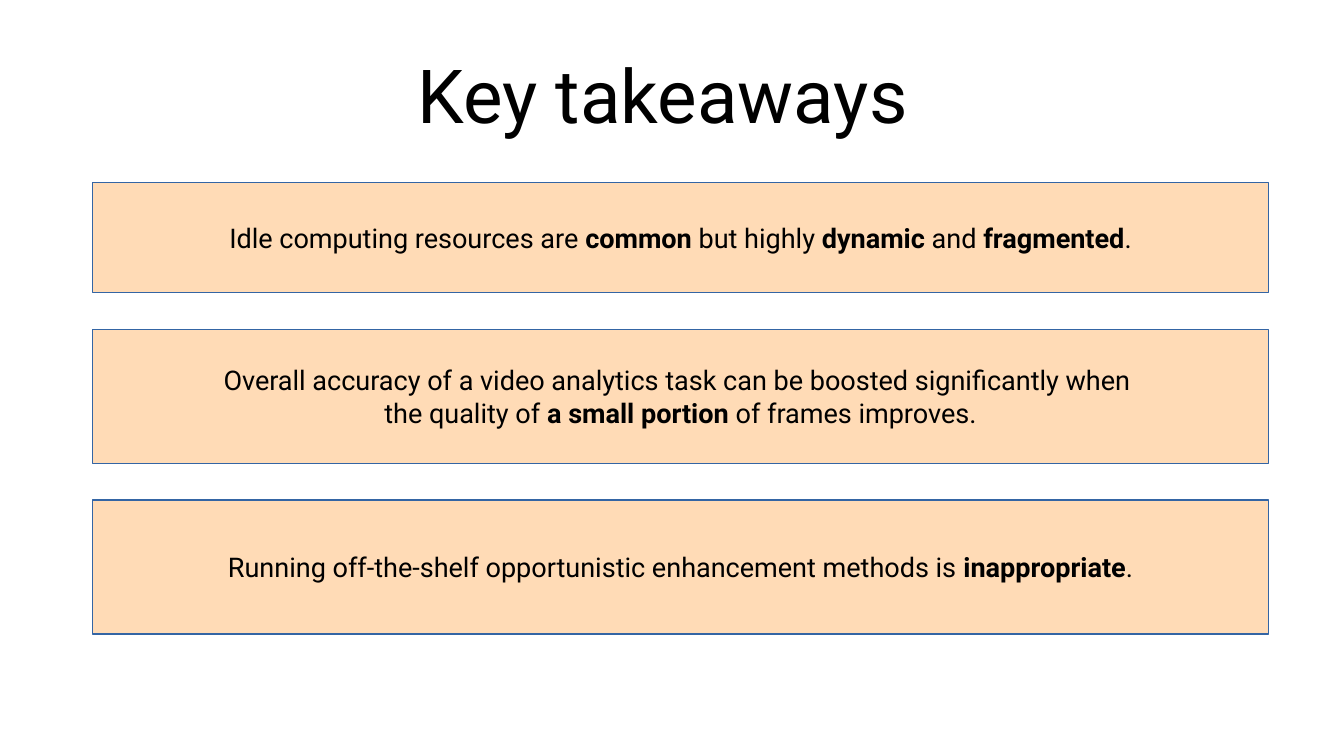
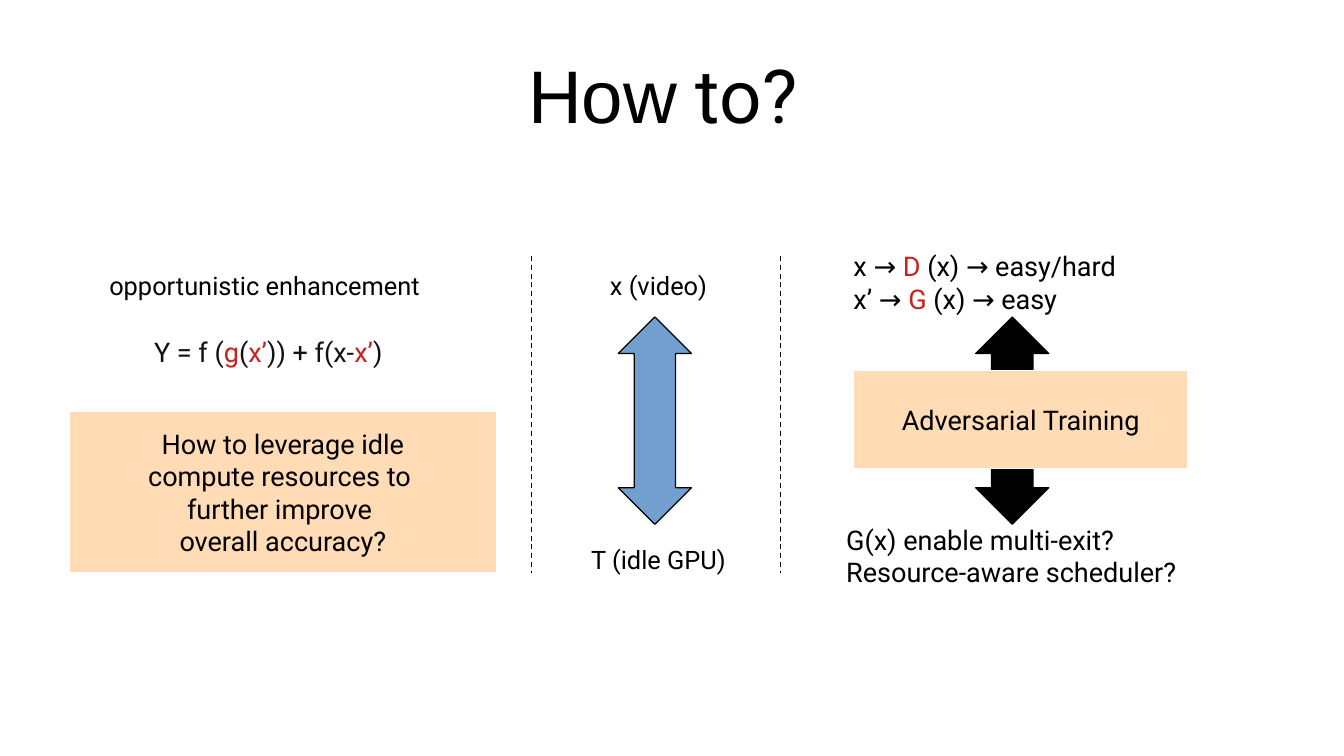
from lxml import etree
from pptx import Presentation
from pptx.dml.color import RGBColor
from pptx.enum.dml import MSO_LINE
from pptx.enum.shapes import MSO_CONNECTOR, MSO_SHAPE
from pptx.enum.text import MSO_ANCHOR, MSO_AUTO_SIZE, PP_ALIGN
from pptx.oxml.ns import qn
from pptx.util import Inches, Pt

BLACK = RGBColor(0x00, 0x00, 0x00)
WHITE = RGBColor(0xFF, 0xFF, 0xFF)
CHARCOAL = RGBColor(0x11, 0x11, 0x11)
RED = RGBColor(0xC9, 0x21, 0x1E)
PEACH = RGBColor(0xFF, 0xDB, 0xB6)
EDGE_BLUE = RGBColor(0x34, 0x65, 0xA4)
ARROW_BLUE = RGBColor(0x72, 0x9F, 0xCF)

FONT = "Roboto"
CENTER, LEFT = PP_ALIGN.CENTER, PP_ALIGN.LEFT
MIDDLE, TOP = MSO_ANCHOR.MIDDLE, MSO_ANCHOR.TOP
NO_FIT = MSO_AUTO_SIZE.NONE
RECTANGLE, UP_DOWN_ARROW = MSO_SHAPE.RECTANGLE, MSO_SHAPE.UP_DOWN_ARROW
STRAIGHT, DASH = MSO_CONNECTOR.STRAIGHT, MSO_LINE.DASH
TITLE_ONLY = 5
LINE_WIDTH = Pt(0.75)

TAKEAWAYS = [
    (0.9, ["Idle computing resources are *common* but highly *dynamic* and *fragmented*."]),
    (1.1, ["Overall accuracy of a video analytics task can be boosted significantly when ",
           "the quality of *a small portion* of frames improves."]),
    (1.1, ["Running off-the-shelf opportunistic enhancement methods is *inappropriate*."]),
]


def write(frame, lines, size=16, color=BLACK, align=CENTER, anchor=TOP, wrap=True,
          inset=(0.1, 0.05), mark_color=None, mark_bold=False, mark_font=FONT):
    """Fill a text frame with lines; parts between asterisks take the mark format."""
    frame.auto_size = NO_FIT
    frame.word_wrap = wrap
    frame.vertical_anchor = anchor
    frame.margin_left = frame.margin_right = Inches(inset[0])
    frame.margin_top = frame.margin_bottom = Inches(inset[1])
    for row, line in enumerate(lines):
        paragraph = frame.add_paragraph() if row else frame.paragraphs[0]
        paragraph.alignment = align
        for index, part in enumerate(line.split("*")):
            if not part:
                continue
            marked = index % 2 == 1
            run = paragraph.add_run()
            run.text = part
            run.font.size = Pt(size)
            run.font.name = mark_font if marked else FONT
            run.font.bold = marked and mark_bold
            run.font.color.rgb = mark_color if marked and mark_color else color


def add_text(slide, left, top, width, height, lines, **style):
    """Add a text box."""
    box = slide.shapes.add_textbox(*map(Inches, (left, top, width, height)))
    write(box.text_frame, lines, **style)


def add_filled(slide, preset, left, top, width, height, fill, edge):
    """Add a flat preset shape with a thin edge."""
    shape = slide.shapes.add_shape(preset, *map(Inches, (left, top, width, height)))
    shape.shadow.inherit = False
    shape.fill.solid()
    shape.fill.fore_color.rgb = fill
    shape.line.color.rgb = edge
    shape.line.width = LINE_WIDTH
    return shape


def add_card(slide, left, top, width, height, lines, edge=WHITE, **style):
    """Add a peach rectangle with centred text."""
    card = add_filled(slide, RECTANGLE, left, top, width, height, PEACH, edge)
    write(card.text_frame, lines, anchor=MIDDLE, wrap=False, **style)


def add_double_arrow(slide, left, top, fill):
    """Add a vertical two-headed arrow."""
    width, height, head = 0.6, 1.7, 0.34
    arrow = add_filled(slide, UP_DOWN_ARROW, left, top, width, height, fill, BLACK)
    arrow.adjustments[0] = 0.5
    arrow.adjustments[1] = head / width


def add_divider(slide, x, top, height):
    """Add a dashed vertical line."""
    divider = slide.shapes.add_connector(
        STRAIGHT, *map(Inches, (x, top, x, top + height)))
    divider.line.color.rgb = BLACK
    divider.line.width = LINE_WIDTH
    divider.line.dash_style = DASH
    etree.SubElement(divider.element.spPr, qn("a:effectLst"))


def add_titled_slide(deck, title, **style):
    """Add a slide with the shared title style."""
    slide = deck.slides.add_slide(deck.slide_layouts[TITLE_ONLY])
    heading = slide.shapes.title
    heading.left, heading.top = Inches(0.55), Inches(0.25)
    heading.width, heading.height = Inches(9.92), Inches(1.03)
    write(heading.text_frame, [title], size=44, anchor=MIDDLE, inset=(0, 0), **style)
    return slide


def add_takeaways(slide, left, top, width, gap=0.3):
    """Stack the takeaway cards with equal gaps."""
    for height, lines in TAKEAWAYS:
        add_card(slide, left, top, width, height, lines, edge=EDGE_BLUE, mark_bold=True)
        top += height + gap


def add_enhancement(slide, left, top):
    """Place the formula column and its question."""
    add_text(slide, left + 0.03, top + 0.07, 3.14, 0.43,
             ["opportunistic enhancement"], size=15)
    add_text(slide, left + 0.15, top + 0.6, 2.96, 0.56,
             ["Y = f (*g*(*x’*)) + f(x-*x’*)"], color=CHARCOAL, mark_color=RED)
    add_card(slide, left, top + 1.27, 3.5, 1.33,
             ["How to leverage idle", "compute resources to ",
              "further improve ", "overall accuracy?"])


def add_matching(slide, left, top):
    """Place the video and GPU labels around an arrow, between two dividers."""
    height = 2.6
    for x in (left, left + 2.04):
        add_divider(slide, x, top, height)
    for offset, label in ((0.07, "x (video)"), (2.31, "T (idle GPU)")):
        add_text(slide, left - 0.13, top + offset, 2.34, 0.43, [label], size=15)
    add_double_arrow(slide, left + 0.71, top + 0.5, ARROW_BLUE)


def add_training(slide, left, top):
    """Place the adversarial training column."""
    add_double_arrow(slide, left + 1, top + 0.5, BLACK)
    add_text(slide, left - 0.1, top - 0.1, 2.96, 0.56,
             ["x → *D* (x) → easy/hard", "x’ → *G *(x) → easy"],
             align=LEFT, mark_color=RED)
    add_card(slide, left, top + 0.94, 2.74, 0.8, ["Adversarial Training"])
    add_text(slide, left - 0.16, top + 2.14, 3.96, 0.56,
             ["G(x) enable multi-exit?", "Resource-aware scheduler?"], align=LEFT)


def main():
    """Build and save the deck."""
    deck = Presentation()
    deck.slide_width, deck.slide_height = Inches(11.02), Inches(6.2)
    takeaways = add_titled_slide(deck, "Key takeaways ")
    add_takeaways(takeaways, 0.76, 1.5, 9.64)
    method = add_titled_slide(deck, "*How* to? ", mark_font="Arial")
    columns_top = 2.1
    add_enhancement(method, 0.57, columns_top)
    add_matching(method, 4.36, columns_top)
    add_training(method, 7, columns_top)
    deck.save("out.pptx")


if __name__ == "__main__":
    main()
